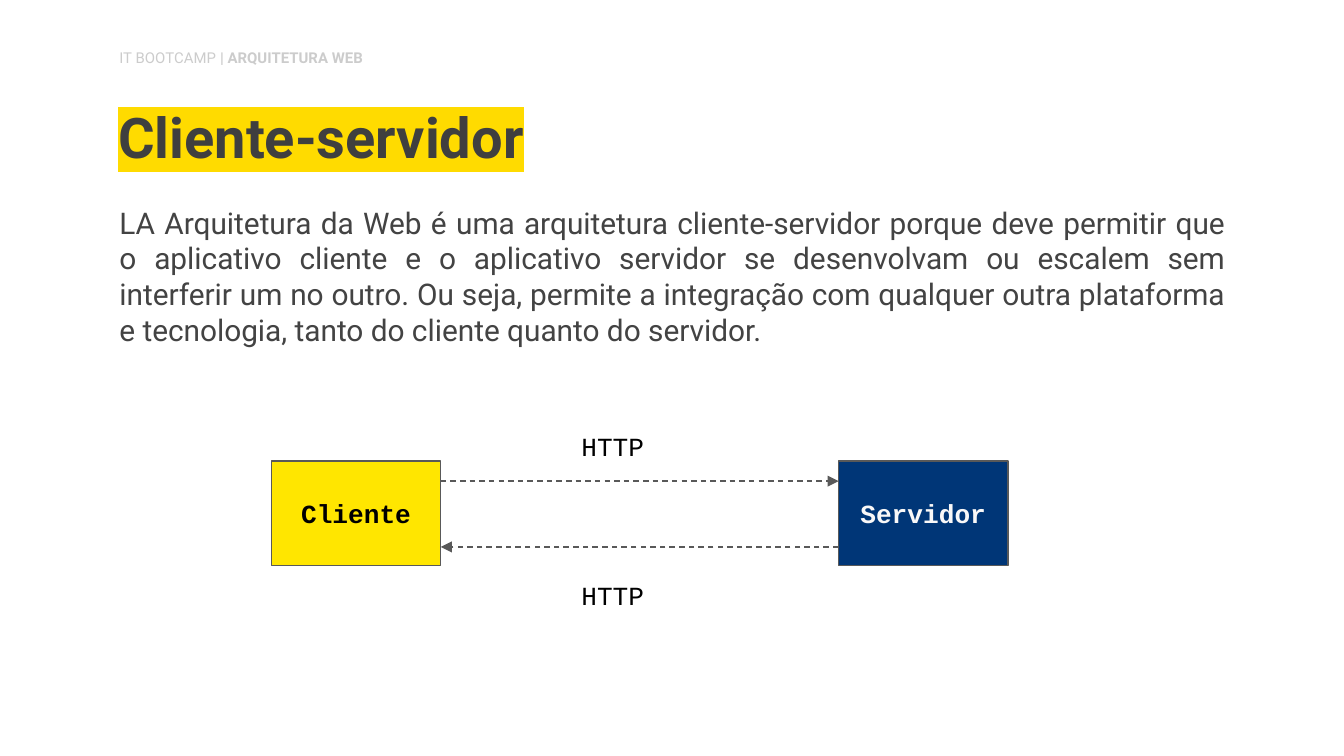
from lxml.etree import SubElement
from pptx import Presentation
from pptx.dml.color import RGBColor
from pptx.enum.dml import MSO_LINE
from pptx.enum.shapes import MSO_CONNECTOR, MSO_SHAPE
from pptx.enum.text import MSO_ANCHOR, MSO_AUTO_SIZE, PP_ALIGN
from pptx.oxml.ns import qn
from pptx.util import Inches, Pt

GREY = "595959"
WIDTH = 10


def color(code):
    return RGBColor.from_string(code)


def add_run(para, text, font, size, code, bold=False):
    run = para.add_run()
    run.text = text
    run.font.name = font
    run.font.size = Pt(size)
    run.font.bold = bold
    run.font.color.rgb = color(code)
    return run


def set_frame(shape, align, anchor=MSO_ANCHOR.TOP, pad=0.1):
    """Prepare the text frame and return its first paragraph."""
    frame = shape.text_frame
    frame.word_wrap = True
    frame.auto_size = MSO_AUTO_SIZE.NONE
    frame.vertical_anchor = anchor
    frame.margin_left = frame.margin_right = Inches(0.1)
    frame.margin_top = frame.margin_bottom = Inches(pad)
    para = frame.paragraphs[0]
    para.alignment = align
    return para


def add_text(slide, box, align, pad=0.1):
    shape = slide.shapes.add_textbox(*map(Inches, box))
    return set_frame(shape, align, pad=pad)


def add_header(slide, box):
    para = add_text(slide, box, PP_ALIGN.LEFT, 0.05)
    para.space_after = Pt(12)
    add_run(para, "IT BOOTCAMP", "Roboto", 8, "CCCCCC")
    add_run(para, " | ARQUITETURA WEB", "Roboto", 8, "CCCCCC", True)


def add_title(slide, box):
    title = slide.shapes.title
    title.left, title.top, title.width, title.height = map(Inches, box)
    para = set_frame(title, PP_ALIGN.LEFT, MSO_ANCHOR.BOTTOM)
    para.line_spacing = 0.9
    run = add_run(para, "Cliente-servidor", "Roboto", 30, "3F3F3F", True)
    fill = run.font._element.find(qn("a:solidFill"))
    mark = SubElement(run.font._element, qn("a:highlight"))
    SubElement(mark, qn("a:srgbClr"), val="FFDB00")
    fill.addnext(mark)


def add_body(slide, box):
    para = add_text(slide, box, PP_ALIGN.JUSTIFY)
    para.space_after = Pt(10)
    text = (
        "LA Arquitetura da Web é uma arquitetura cliente-servidor porque deve "
        "permitir que o aplicativo cliente e o aplicativo servidor se "
        "desenvolvam ou escalem sem interferir um no outro. Ou seja, permite a "
        "integração com qualquer outra plataforma e tecnologia, tanto do "
        "cliente quanto do servidor."
    )
    add_run(para, text, "Roboto", 16, "434343")


def add_node(slide, box, name, fill, ink):
    node = slide.shapes.add_shape(MSO_SHAPE.RECTANGLE, *map(Inches, box))
    node.shadow.inherit = False
    node.fill.solid()
    node.fill.fore_color.rgb = color(fill)
    node.line.color.rgb = color(GREY)
    node.line.width = Pt(0.75)
    para = set_frame(node, PP_ALIGN.CENTER, MSO_ANCHOR.MIDDLE)
    add_run(para, name, "Courier New", 14, ink, True)


def add_arrow(slide, start, end, y):
    arrow = slide.shapes.add_connector(
        MSO_CONNECTOR.STRAIGHT, *map(Inches, (start, y, end, y)))
    arrow.line.color.rgb = color(GREY)
    arrow.line.width = Pt(0.75)
    arrow.line.dash_style = MSO_LINE.DASH
    props = arrow._element.spPr
    SubElement(props.find(qn("a:ln")), qn("a:tailEnd"), type="triangle")
    SubElement(props, qn("a:effectLst"))


def add_flow(slide, box):
    """Draw client and server with a request and a response between them."""
    left, top, width, height = box
    node = 1.26
    client, server = left + node, left + width - node
    add_node(slide, (left, top, node, height), "Cliente", "FFE600", "000000")
    add_node(slide, (server, top, node, height), "Servidor", "003677", "F9F8F8")
    add_arrow(slide, client, server, top + 0.15)
    add_arrow(slide, server, client, top + 0.64)
    for y in (top - 0.33, top + height):
        para = add_text(slide, (client + 0.65, y, node, 0.44), PP_ALIGN.CENTER)
        add_run(para, "HTTP", "Courier New", 14, "000000")


def main():
    deck = Presentation()
    deck.slide_width = Inches(WIDTH)
    deck.slide_height = Inches(WIDTH * 9 / 16)
    slide = deck.slides.add_slide(deck.slide_layouts[5])
    add_header(slide, (0.79, 0.31, 3.14, 0.27))
    add_title(slide, (0.78, 0.68, 8.43, 0.69))
    add_body(slide, (0.79, 1.42, 8.43, 1.27))
    add_flow(slide, (2.02, 3.43, 5.48, 0.78))
    deck.save("out.pptx")


if __name__ == "__main__":
    main()
